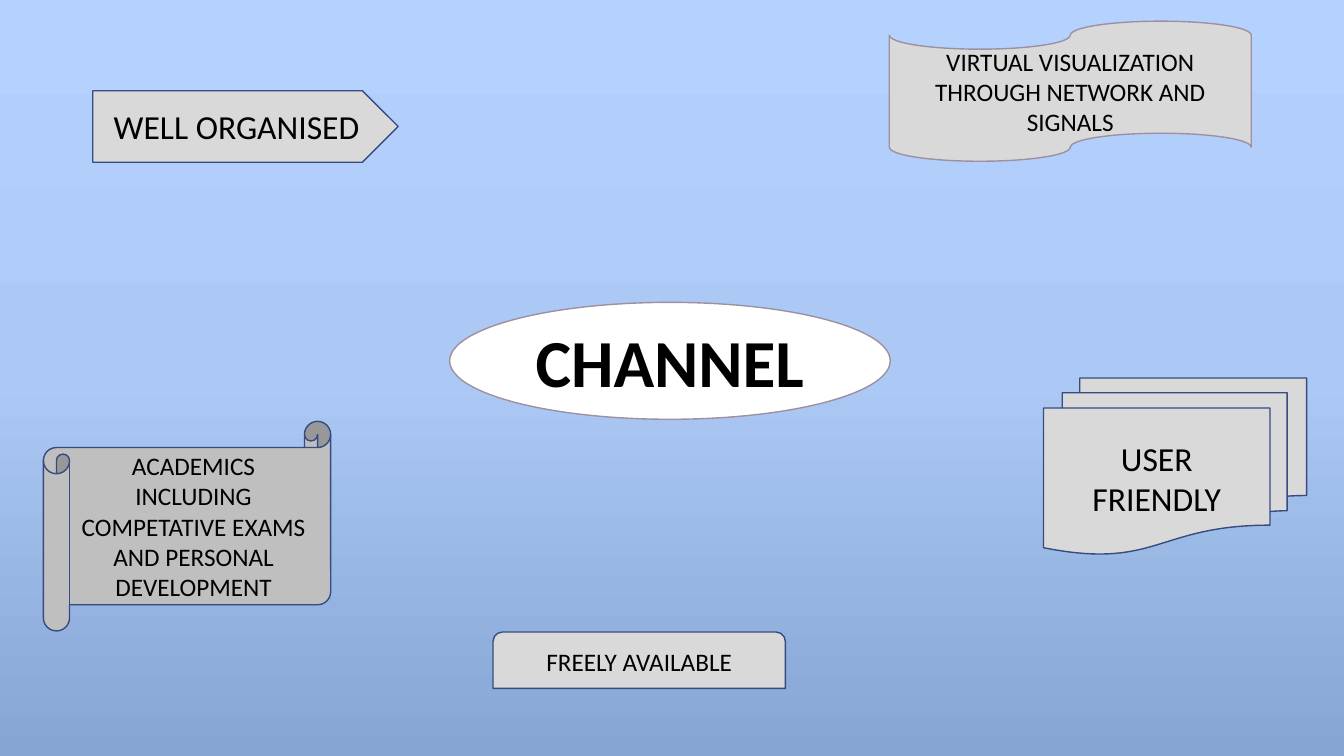
import copy

import pptx
import pptx.dml.color
import pptx.enum.shapes
import pptx.enum.text
import pptx.oxml.ns
import pptx.util

Inches = pptx.util.Inches
Shape = pptx.enum.shapes.MSO_SHAPE

COLORS = {
    "sky_top": "B5D1FD",
    "sky_middle": "ACC9F5",
    "sky_bottom": "86A5D2",
    "white": "FFFFFF",
    "light_grey": "D9D9D9",
    "grey": "BFBFBF",
    "mauve": "9D90A0",
    "navy": "374B7F",
    "black": "000000",
}

# Features around the channel: shape, box, fill, outline, text size, paragraphs
FEATURES = [
    (Shape.FLOWCHART_PUNCHED_TAPE, (8.82, 0.21, 3.59, 1.39), "light_grey", "mauve", 18,
     ["VIRTUAL VISUALIZATION THROUGH NETWORK AND SIGNALS"]),
    (Shape.FLOWCHART_MULTIDOCUMENT, (10.35, 3.75, 2.61, 1.75), "light_grey", "navy", 24,
     ["USER", "FRIENDLY"]),
    (Shape.HORIZONTAL_SCROLL, (0.43, 4.18, 2.85, 2.08), "grey", "navy", 18,
     ["ACADEMICS", "INCLUDING COMPETATIVE EXAMS", "AND PERSONAL DEVELOPMENT"]),
    (Shape.ROUND_2_SAME_RECTANGLE, (4.89, 6.27, 2.9, 0.56), "light_grey", "navy", 18,
     ["FREELY AVAILABLE"]),
    (Shape.PENTAGON, (0.92, 0.9, 3.03, 0.71), "light_grey", "navy", 24,
     ["WELL ORGANISED"]),
]


def color(name):
    return pptx.dml.color.RGBColor.from_string(COLORS[name])


def paint_background(slide):
    """Vertical gradient with three evenly spaced stops."""
    fill = slide.background.fill
    fill.gradient()
    fill.gradient_angle = 270
    stop_list = slide.element.find(".//" + pptx.oxml.ns.qn("a:gsLst"))
    stop_list.append(copy.deepcopy(stop_list[-1]))
    sky = ["sky_top", "sky_middle", "sky_bottom"]
    for index, (stop, name) in enumerate(zip(fill.gradient_stops, sky)):
        stop.position = index / 2
        stop.color.rgb = color(name)


def draw_label(slide, kind, box, fill, outline, size, paragraphs, bold=False):
    """Filled shape with centred text, filling the given box."""
    label = slide.shapes.add_shape(kind, *map(Inches, box))
    label.shadow.inherit = False
    label.fill.solid()
    label.fill.fore_color.rgb = color(fill)
    label.line.color.rgb = color(outline)
    label.line.width = pptx.util.Pt(1)

    frame = label.text_frame
    frame.word_wrap = True
    frame.vertical_anchor = pptx.enum.text.MSO_ANCHOR.MIDDLE
    for index, wording in enumerate(paragraphs):
        paragraph = frame.add_paragraph() if index else frame.paragraphs[0]
        paragraph.alignment = pptx.enum.text.PP_ALIGN.CENTER
        run = paragraph.add_run()
        run.text = wording
        run.font.name = "Calibri"
        run.font.size = pptx.util.Pt(size)
        run.font.bold = bold
        run.font.color.rgb = color("black")


def main():
    deck = pptx.Presentation()
    deck.slide_width = Inches(13.33)
    deck.slide_height = Inches(7.5)
    slide = deck.slides.add_slide(deck.slide_layouts[6])

    paint_background(slide)
    # Central topic
    draw_label(slide, Shape.OVAL, (4.46, 3, 4.37, 1.16), "white", "mauve", 48,
               ["CHANNEL"], bold=True)
    # Surrounding features
    for feature in FEATURES:
        draw_label(slide, *feature)

    deck.save("out.pptx")


if __name__ == "__main__":
    main()
